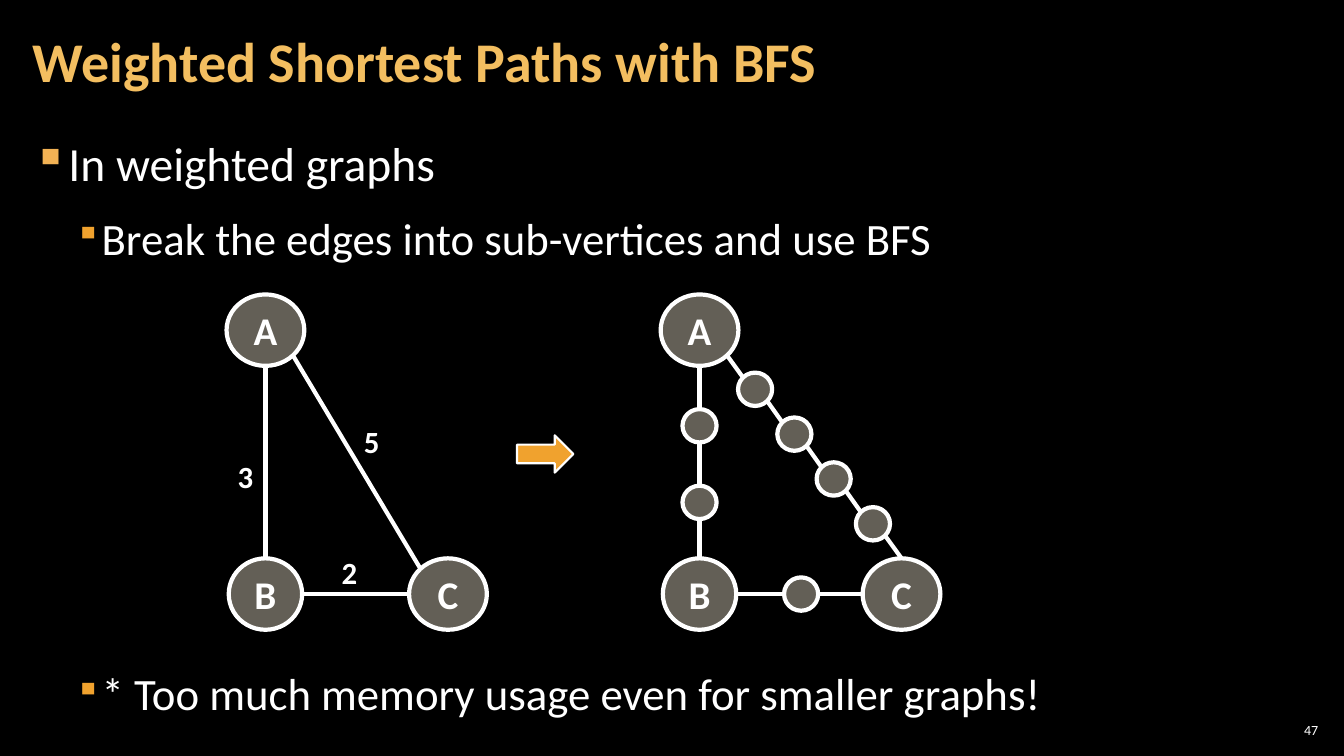
import math
from dataclasses import dataclass

import pptx
import pptx.dml.color
import pptx.enum.shapes
import pptx.enum.text
import pptx.oxml.ns
import pptx.shapes.autoshape
import pptx.shapes.group
import pptx.slide
import pptx.text.text
import pptx.util
from lxml import etree

Cm = pptx.util.Cm
Pt = pptx.util.Pt
RGBColor = pptx.dml.color.RGBColor
Align = pptx.enum.text.PP_ALIGN
Anchor = pptx.enum.text.MSO_ANCHOR
ShapeKind = pptx.enum.shapes.MSO_SHAPE
qn = pptx.oxml.ns.qn

BLACK = RGBColor(0x00, 0x00, 0x00)
WHITE = RGBColor(0xFF, 0xFF, 0xFF)
GOLD = RGBColor(0xF3, 0xBE, 0x60)
LIGHT_ORANGE = RGBColor(0xF2, 0xB2, 0x54)
ORANGE = RGBColor(0xF0, 0xA2, 0x2E)
STONE = RGBColor(0xC7, 0xBF, 0xAC)
FONT = "Calibri"

# Angles on a vertex outline, clockwise from the right-hand side
RIGHT, LOWER_RIGHT, BOTTOM, LEFT, UPPER_LEFT, TOP = 0, 45, 90, 180, 225, 270


@dataclass(frozen=True)
class Vertex:
    """A graph vertex; centre and size in centimetres."""
    x: float
    y: float
    label: str = ""
    width: float = 0.86
    height: float = 0.84

    def outline_point(self, angle: float) -> tuple[Cm, Cm]:
        turn = math.radians(angle)
        return (Cm(self.x + self.width / 2 * math.cos(turn)),
                Cm(self.y + self.height / 2 * math.sin(turn)))


@dataclass(frozen=True)
class Route:
    """Edges through successive vertices, with the angles where they leave and enter."""
    stops: list[Vertex]
    leave: float
    enter: float
    arrive: float


@dataclass(frozen=True)
class Weight:
    text: str
    left: float
    top: float


@dataclass(frozen=True)
class Bullet:
    text: str
    size: int
    color: RGBColor
    level: int
    indent: float
    hanging: float
    scale: int
    before: int


def main_vertices(x: float, c_x: float) -> tuple[Vertex, Vertex, Vertex]:
    return (Vertex(x, 8.32, "A", 1.96, 1.8),
            Vertex(x, 14.97, "B", 1.85, 1.8),
            Vertex(c_x, 14.97, "C", 1.96, 1.8))


A, B, C = main_vertices(6.69, 11.29)
WEIGHTED_ROUTES = [
    Route([A, B], BOTTOM, TOP, TOP),
    Route([B, C], RIGHT, LEFT, LEFT),
    Route([A, C], LOWER_RIGHT, UPPER_LEFT, UPPER_LEFT),
]
WEIGHTS = [Weight("3", 5.74, 11.4), Weight("5", 8.92, 10.54), Weight("2", 8.36, 13.84)]

A2, B2, C2 = main_vertices(17.63, 22.72)
SPLIT_ROUTES = [
    Route([A2, *(Vertex(17.63, 10.73 + 1.93 * i) for i in range(2)), B2],
          BOTTOM, TOP, TOP),
    Route([B2, Vertex(20.19, 14.97), C2], RIGHT, LEFT, LEFT),
    Route([A2, *(Vertex(19.03 + 0.99 * i, 9.81 + 1.13 * i) for i in range(4)), C2],
          LOWER_RIGHT, UPPER_LEFT, TOP),
]

BULLETS = [
    Bullet("In weighted graphs", 34, LIGHT_ORANGE, 0, 0.84, 0.84, 100, 0),
    Bullet("Break the edges into sub-vertices and use BFS", 32, ORANGE, 1,
           1.7, 0.64, 80, 6),
    Bullet("* Too much memory usage even for smaller graphs!", 32, ORANGE, 1,
           1.7, 0.64, 80, 279),
]


def add_run(paragraph: pptx.text.text._Paragraph, text: str, size: int,
            color: RGBColor = WHITE, bold: bool = False) -> None:
    run = paragraph.add_run()
    run.text = text
    run.font.name = FONT
    run.font.size = Pt(size)
    run.font.bold = bold
    run.font.color.rgb = color


def set_insets(frame: pptx.text.text.TextFrame, side: float, end: float) -> None:
    frame.margin_left = frame.margin_right = Cm(side)
    frame.margin_top = frame.margin_bottom = Cm(end)


def add_text_area(slide: pptx.slide.Slide, left: float, top: float, width: float,
                  height: float, side_inset: float = 0.3) -> pptx.text.text.TextFrame:
    frame = slide.shapes.add_textbox(Cm(left), Cm(top), Cm(width), Cm(height)).text_frame
    frame.word_wrap = True
    set_insets(frame, side_inset, 0.1)
    return frame


def add_bullet(paragraph: pptx.text.text._Paragraph, bullet: Bullet) -> None:
    paragraph.level = bullet.level
    properties = paragraph._p.get_or_add_pPr()
    properties.set("marL", str(Cm(bullet.indent)))
    properties.set("indent", str(-Cm(bullet.hanging)))
    color = etree.SubElement(properties, qn("a:buClr"))
    etree.SubElement(color, qn("a:srgbClr"), val=str(bullet.color))
    etree.SubElement(properties, qn("a:buSzPct"), val=str(bullet.scale * 1000))
    etree.SubElement(properties, qn("a:buChar"), char="▪")
    paragraph.line_spacing = 1.05
    paragraph.space_before = Pt(bullet.before)
    paragraph.space_after = Pt(6)
    add_run(paragraph, bullet.text, bullet.size)


def paint(shape: pptx.shapes.autoshape.Shape, fill: RGBColor, line_width: float) -> None:
    shape.shadow.inherit = False
    shape.fill.solid()
    shape.fill.fore_color.rgb = fill
    shape.line.color.rgb = WHITE
    shape.line.width = Pt(line_width)


def draw_edge(group: pptx.shapes.group.GroupShape, start: tuple[Cm, Cm],
              end: tuple[Cm, Cm]) -> None:
    edge = group.shapes.add_connector(
        pptx.enum.shapes.MSO_CONNECTOR.STRAIGHT, *start, *end)
    edge.line.color.rgb = WHITE
    edge.line.width = Pt(3)
    etree.SubElement(edge._element.spPr, qn("a:effectLst"))


def draw_vertex(group: pptx.shapes.group.GroupShape, vertex: Vertex) -> None:
    circle = group.shapes.add_shape(
        ShapeKind.OVAL, Cm(vertex.x - vertex.width / 2), Cm(vertex.y - vertex.height / 2),
        Cm(vertex.width), Cm(vertex.height))
    paint(circle, STONE, 3)
    fill_color = circle._element.spPr.find(qn("a:solidFill")).find(qn("a:srgbClr"))
    etree.SubElement(fill_color, qn("a:alpha"), val="50000")
    if vertex.label:
        frame = circle.text_frame
        frame.vertical_anchor = Anchor.MIDDLE
        set_insets(frame, 0.1, 0.13)
        frame.paragraphs[0].alignment = Align.CENTER
        add_run(frame.paragraphs[0], vertex.label, 28, bold=True)


def draw_graph(slide: pptx.slide.Slide, routes: list[Route], weights: list[Weight]) -> None:
    group = slide.shapes.add_group_shape()
    for route in routes:
        for start, end in zip(route.stops, route.stops[1:]):
            angle = route.arrive if end is route.stops[-1] else route.enter
            draw_edge(group, start.outline_point(route.leave), end.outline_point(angle))
    for vertex in dict.fromkeys(stop for route in routes for stop in route.stops):
        draw_vertex(group, vertex)
    for weight in weights:
        frame = group.shapes.add_textbox(
            Cm(weight.left), Cm(weight.top), Cm(0.91), Cm(1.19)).text_frame
        frame.word_wrap = False
        add_run(frame.paragraphs[0], weight.text, 22, bold=True)


def main() -> None:
    deck = pptx.Presentation()
    deck.slide_width, deck.slide_height = Cm(33.87), Cm(19.05)
    slide = deck.slides.add_slide(deck.slide_layouts[6])
    slide.background.fill.solid()
    slide.background.fill.fore_color.rgb = BLACK

    title = add_text_area(slide, 0.53, 0.1, 26.59, 3.07)
    title.vertical_anchor = Anchor.MIDDLE
    title.paragraphs[0].line_spacing = 0.9
    add_run(title.paragraphs[0], "Weighted Shortest Paths with BFS", 40, GOLD, True)

    body = add_text_area(slide, 0.53, 3.2, 32.79, 15.47)
    for index, bullet in enumerate(BULLETS):
        add_bullet(body.add_paragraph() if index else body.paragraphs[0], bullet)

    draw_graph(slide, WEIGHTED_ROUTES, WEIGHTS)
    arrow = slide.shapes.add_shape(
        ShapeKind.RIGHT_ARROW, Cm(13.03), Cm(10.97), Cm(1.42), Cm(0.94))
    paint(arrow, ORANGE, 1.5)
    draw_graph(slide, SPLIT_ROUTES, [])

    page_number = add_text_area(slide, 32.13, 18.14, 1.19, 0.53, side_inset=0.1)
    page_number.vertical_anchor = Anchor.MIDDLE
    page_number.paragraphs[0].alignment = Align.RIGHT
    add_run(page_number.paragraphs[0], "47", 10)

    deck.save("out.pptx")


if __name__ == "__main__":
    main()
